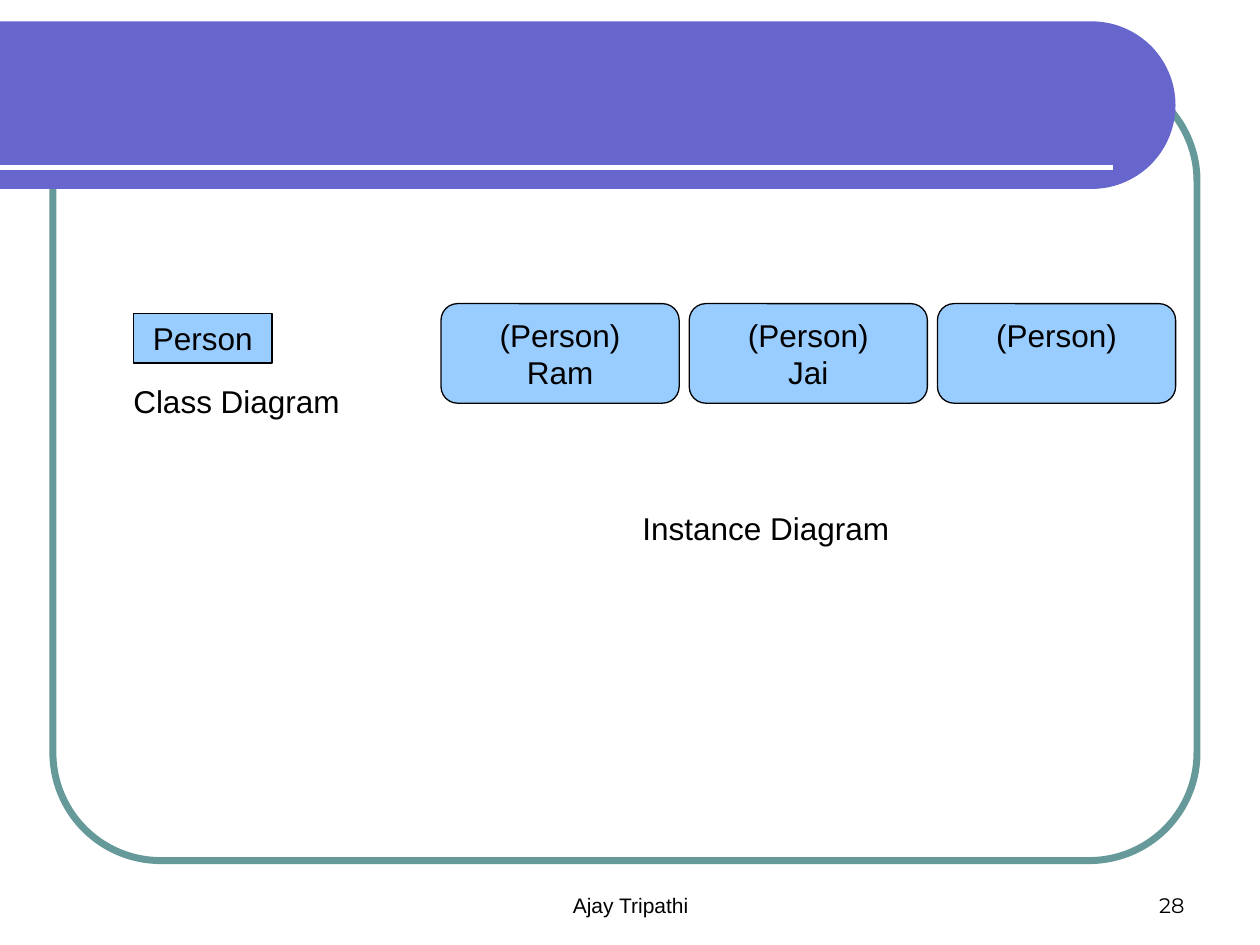
"""Build the class and instance diagram slide."""
from math import cos, pi, sin

from lxml.etree import SubElement
from pptx import Presentation
from pptx.dml.color import RGBColor
from pptx.enum.shapes import MSO_CONNECTOR, MSO_SHAPE
from pptx.enum.text import MSO_ANCHOR, PP_ALIGN
from pptx.oxml.ns import qn
from pptx.util import Inches, Pt

BLACK = RGBColor(0x00, 0x00, 0x00)
WHITE = RGBColor(0xFF, 0xFF, 0xFF)
TEAL = RGBColor(0x66, 0x99, 0x99)
PURPLE = RGBColor(0x66, 0x66, 0xCC)
SKY = RGBColor(0x99, 0xCC, 0xFF)

CLASS_NAME = "Person"
INSTANCES = [["(Person)", "Ram"], ["(Person)", "Jai"], ["(Person)"]]
LABELS = [
    ("Class Diagram", (0.96, 2.98, 1.84, 0.4), dict(wrap=False)),
    ("Instance Diagram", (5, 3.99, 3.07, 0.4), dict(before=11.2)),
    ("Ajay Tripathi", (3.42, 6.83, 3.17, 0.5),
     dict(size=12, align=PP_ALIGN.CENTER, anchor=MSO_ANCHOR.BOTTOM)),
    ("28", (7.17, 6.83, 2.33, 0.5),
     dict(size=12, font="Montserrat", align=PP_ALIGN.RIGHT, anchor=MSO_ANCHOR.BOTTOM)),
]
BOX_LEFT, BOX_TOP, BOX_W, BOX_H, BOX_STEP = 3.5, 2.41, 1.89, 0.79, 1.97
LINE_H = 0.29
BAND_TOP, BAND_BOTTOM, BAND_RIGHT = 0.17, 1.5, 9.33
ARC_STEPS = 60


def write(sp, lines, size=18, font="Arial", align=PP_ALIGN.LEFT,
          anchor=MSO_ANCHOR.TOP, wrap=True, before=0, bottom=0.05):
    tf = sp.text_frame
    tf.word_wrap = wrap
    tf.vertical_anchor = anchor
    tf.margin_bottom = Inches(bottom)
    for i, line in enumerate(lines):
        p = tf.add_paragraph() if i else tf.paragraphs[0]
        p.alignment = align
        p.space_before = Pt(before)
        r = p.add_run()
        r.text = line
        r.font.size = Pt(size)
        r.font.name = font
        r.font.color.rgb = BLACK


def style(sp, fill=None, line=None, width=0.75):
    sp.shadow.inherit = False
    if fill is None:
        sp.fill.background()
    else:
        sp.fill.solid()
        sp.fill.fore_color.rgb = fill
    if line is None:
        sp.line.fill.background()
    else:
        sp.line.color.rgb = line
        sp.line.width = Pt(width)


def add_box(s, kind, at, **look):
    sp = s.shapes.add_shape(kind, *map(Inches, at))
    style(sp, **look)
    return sp


def add_frame(s):
    sp = add_box(s, MSO_SHAPE.ROUNDED_RECTANGLE, (0.42, 0.58, 9.08, 6.25),
                 line=TEAL, width=4)
    sp.adjustments[0] = 0.137


def add_band(s):
    radius = (BAND_BOTTOM - BAND_TOP) / 2
    cx, cy = BAND_RIGHT - radius, BAND_TOP + radius
    angles = [pi * i / ARC_STEPS - pi / 2 for i in range(ARC_STEPS + 1)]
    arc = [(Inches(cx + radius * cos(a)), Inches(cy + radius * sin(a))) for a in angles]
    fb = s.shapes.build_freeform(0, Inches(BAND_TOP))
    fb.add_line_segments(arc + [(0, Inches(BAND_BOTTOM))], close=True)
    style(fb.convert_to_shape(), fill=PURPLE)
    rule = s.shapes.add_connector(MSO_CONNECTOR.STRAIGHT, 0, Inches(1.33),
                                  Inches(8.83), Inches(1.33))
    rule.line.color.rgb = WHITE
    rule.line.width = Pt(3)
    SubElement(rule._element.spPr, qn("a:effectLst"))


def main():
    prs = Presentation()
    prs.slide_width, prs.slide_height = Inches(10), Inches(7.5)
    s = prs.slides.add_slide(prs.slide_layouts[6])
    add_frame(s)
    add_band(s)

    centred = dict(align=PP_ALIGN.CENTER, anchor=MSO_ANCHOR.MIDDLE, wrap=False)
    sp = add_box(s, MSO_SHAPE.RECTANGLE, (1.06, 2.49, 1.1, 0.39), fill=SKY, line=BLACK)
    write(sp, [CLASS_NAME], **centred)

    for i, lines in enumerate(INSTANCES):
        at = (BOX_LEFT + i * BOX_STEP, BOX_TOP, BOX_W, BOX_H)
        sp = add_box(s, MSO_SHAPE.FLOWCHART_ALTERNATE_PROCESS, at, fill=SKY, line=BLACK)
        write(sp, lines, bottom=0.05 + LINE_H * (2 - len(lines)), **centred)

    for text, at, look in LABELS:
        write(s.shapes.add_textbox(*map(Inches, at)), [text], **look)

    prs.save("out.pptx")


if __name__ == "__main__":
    main()
